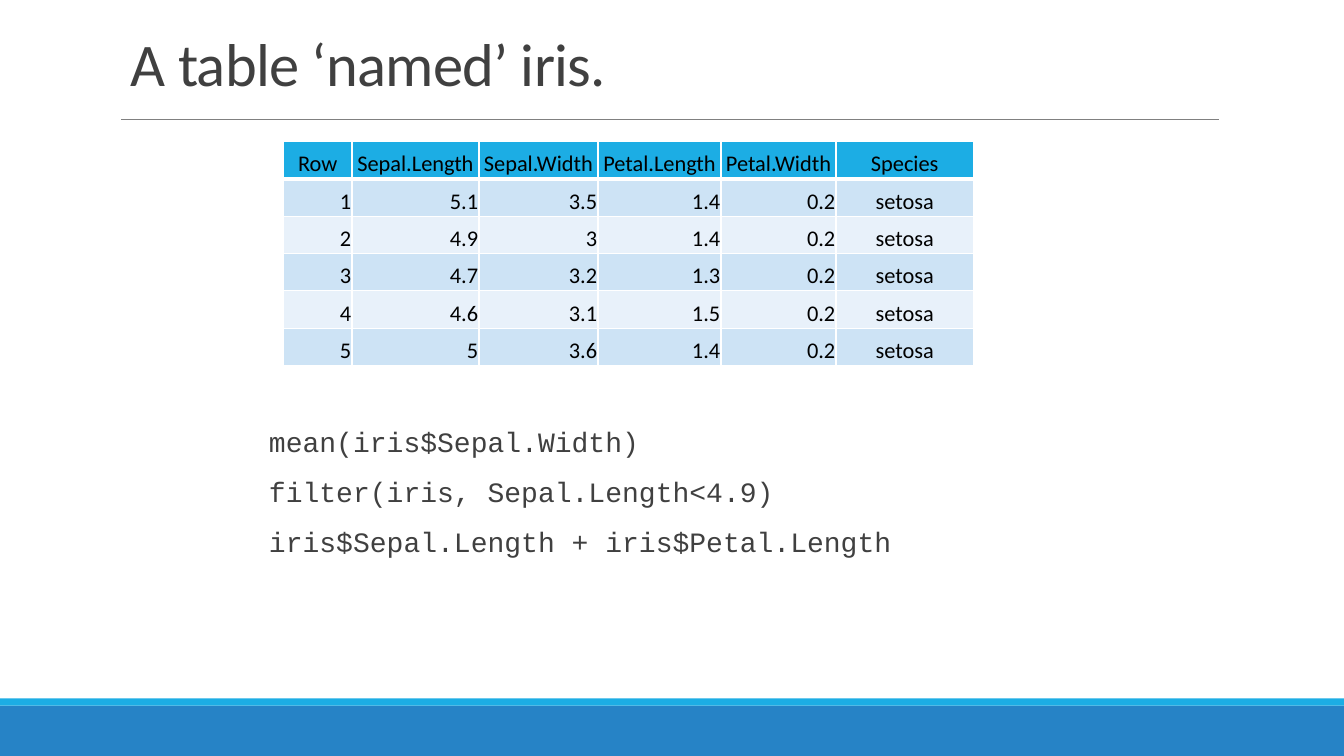
from dataclasses import dataclass
from typing import Any, NamedTuple

from lxml import etree
from pptx import Presentation
from pptx.dml.color import RGBColor
from pptx.enum import shapes, text
from pptx.oxml import ns
from pptx.util import Cm, Pt


@dataclass(frozen=True)
class Theme:
    blue: str = "2683C6"
    cyan: str = "1CADE4"
    grey: str = "808080"
    ink: str = "404040"
    black: str = "000000"
    white: str = "FFFFFF"
    odd: str = "CDE3F5"
    even: str = "E8F1FA"
    sans: str = "Calibri"
    mono: str = "Courier New"
    title: float = 43.2
    code: float = 20
    cell: float = 16


class Box(NamedTuple):
    left: float
    top: float
    width: float
    height: float

    def place(self) -> list[int]:
        return [Cm(side) for side in self]


class Band(NamedTuple):
    box: Box
    fill: str


class Bloom(NamedTuple):
    row: str
    sepal_length: str
    sepal_width: str
    petal_length: str
    petal_width: str
    species: str = "setosa"


THEME = Theme()
WIDTH, HEIGHT = 33.87, 19.05
BANDS = [
    Band(Box(0, 17.78, WIDTH, 1.27), THEME.blue),
    Band(Box(0, 17.6, WIDTH, 0.18), THEME.cyan),
]
HEAD = Bloom("Row", "Sepal.Length", "Sepal.Width", "Petal.Length", "Petal.Width", "Species")
BLOOMS = [
    Bloom("1", "5.1", "3.5", "1.4", "0.2"),
    Bloom("2", "4.9", "3", "1.4", "0.2"),
    Bloom("3", "4.7", "3.2", "1.3", "0.2"),
    Bloom("4", "4.6", "3.1", "1.5", "0.2"),
    Bloom("5", "5", "3.6", "1.4", "0.2"),
]
SPANS = [1.73, 3.2, 3, 3.1, 2.9, 3.46]
ROW = 0.94
CODE = [
    "mean(iris$Sepal.Width)",
    "filter(iris, Sepal.Length<4.9)",
    "iris$Sepal.Length + iris$Petal.Length",
]


def write(frame: Any, *lines: str, size: float, face: str = THEME.sans,
          ink: str = THEME.ink, align: Any = text.PP_ALIGN.LEFT, lead: float = 0.9,
          before: float = 0, after: float = 0, track: int = 0) -> None:
    for index, line in enumerate(lines):
        para = frame.add_paragraph() if index else frame.paragraphs[0]
        para.alignment = align
        para.line_spacing = lead
        para.space_before = Pt(before if index else 0)
        para.space_after = Pt(after)
        run = para.add_run()
        run.text = line
        run.font.name = face
        run.font.size = Pt(size)
        run.font.bold = False
        run.font.color.rgb = RGBColor.from_string(ink)
        if track:
            run._r.get_or_add_rPr().set("spc", str(track))


def add_band(slide: Any, band: Band) -> None:
    shape = slide.shapes.add_shape(shapes.MSO_SHAPE.RECTANGLE, *band.box.place())
    shape.shadow.inherit = False
    shape.fill.solid()
    shape.fill.fore_color.rgb = RGBColor.from_string(band.fill)
    shape.line.fill.background()


def add_rule(slide: Any, left: float, right: float, top: float) -> None:
    rule = slide.shapes.add_connector(
        shapes.MSO_CONNECTOR.STRAIGHT, Cm(left), Cm(top), Cm(right), Cm(top))
    rule.line.color.rgb = RGBColor.from_string(THEME.grey)
    rule.line.width = Pt(0.5)
    etree.SubElement(rule._element.spPr, ns.qn("a:effectLst"))


def add_frame(slide: Any, box: Box, anchor: Any) -> Any:
    frame = slide.shapes.add_textbox(*box.place()).text_frame
    frame.word_wrap = True
    frame.vertical_anchor = anchor
    return frame


def add_edges(cell: Any, base: float) -> None:
    props = cell._tc.get_or_add_tcPr()
    for side, width in {"L": 1, "R": 1, "T": 1, "B": base}.items():
        edge = etree.SubElement(props, ns.qn(f"a:ln{side}"), w=str(Pt(width)))
        fill = etree.SubElement(edge, ns.qn("a:solidFill"))
        etree.SubElement(fill, ns.qn("a:srgbClr"), val=THEME.white)


def fill_cell(cell: Any, value: str, fill: str, align: Any, base: float) -> None:
    add_edges(cell, base)
    cell.fill.solid()
    cell.fill.fore_color.rgb = RGBColor.from_string(fill)
    cell.vertical_anchor = text.MSO_ANCHOR.BOTTOM
    cell.margin_left = cell.margin_right = cell.margin_top = Cm(0.02)
    cell.margin_bottom = Cm(0.13)
    write(cell.text_frame, value, size=THEME.cell, ink=THEME.black, align=align, lead=0.35)


def add_grid(slide: Any, left: float, top: float) -> None:
    rows = [HEAD, *BLOOMS]
    box = Box(left, top, sum(SPANS), ROW * len(rows))
    grid = slide.shapes.add_table(len(rows), len(SPANS), *box.place()).table
    for column, span in zip(grid.columns, SPANS):
        column.width = Cm(span)
    for y, bloom in enumerate(rows):
        grid.rows[y].height = Cm(ROW)
        fill = THEME.odd if y % 2 else THEME.even
        for x, value in enumerate(bloom):
            mid = y == 0 or x == len(SPANS) - 1
            fill_cell(grid.cell(y, x), value, fill if y else THEME.cyan,
                      text.PP_ALIGN.CENTER if mid else text.PP_ALIGN.RIGHT,
                      1 if y else 3)


def main() -> None:
    deck = Presentation()
    deck.slide_width, deck.slide_height = Cm(WIDTH), Cm(HEIGHT)
    slide = deck.slides.add_slide(deck.slide_layouts[6])
    for band in BANDS:
        add_band(slide, band)
    add_rule(slide, 3.05, 30.73, 3)
    title = add_frame(slide, Box(3.05, 0.79, 27.94, 1.83), text.MSO_ANCHOR.BOTTOM)
    write(title, "A table ‘named’ iris.", size=THEME.title, lead=0.85, track=-50)
    code = add_frame(slide, Box(6.53, 10.67, 20.93, 5.64), text.MSO_ANCHOR.TOP)
    code.margin_right = 0
    write(code, *CODE, size=THEME.code, face=THEME.mono, before=12, after=2)
    add_grid(slide, 7.14, 3.57)
    deck.save("out.pptx")


if __name__ == "__main__":
    main()
